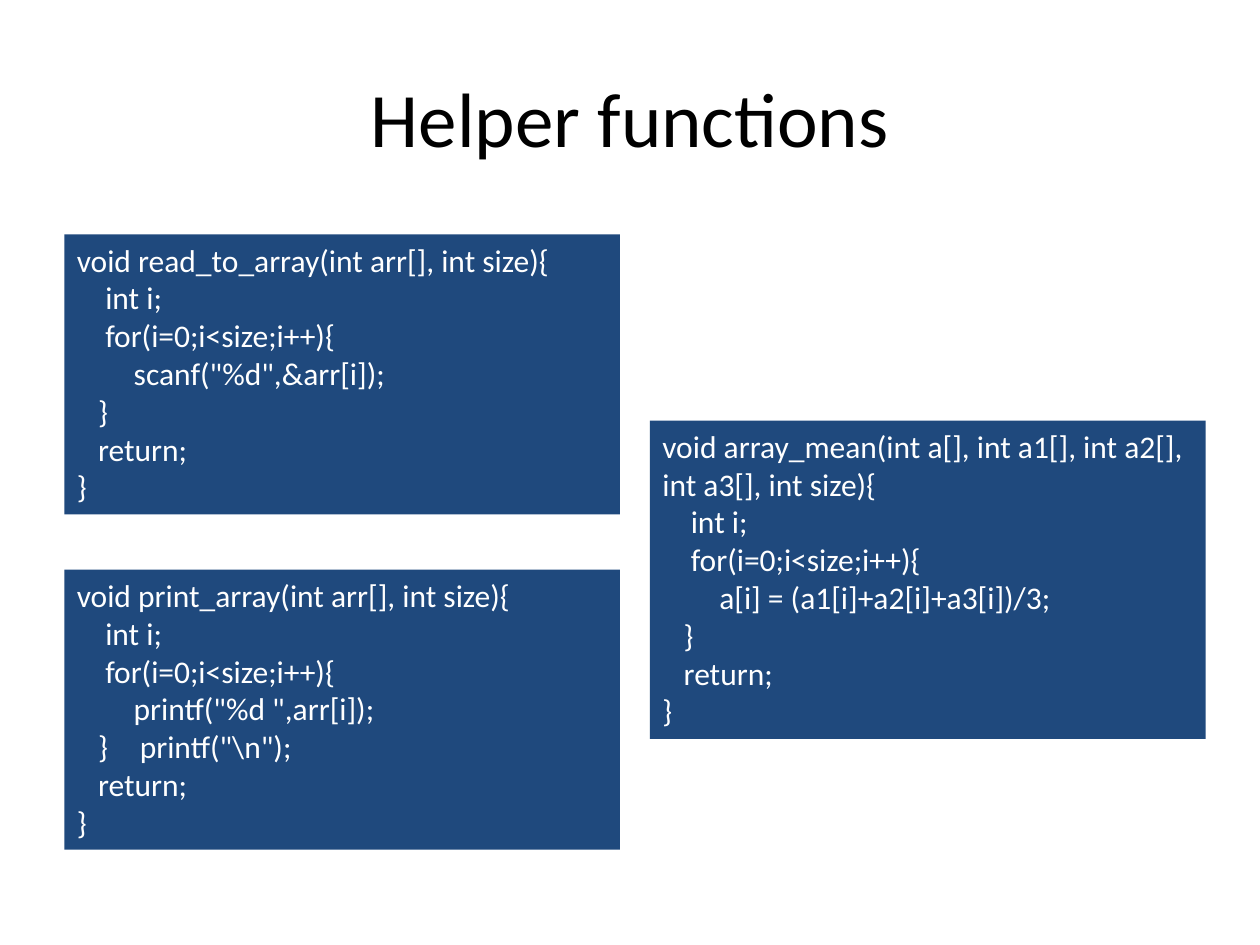
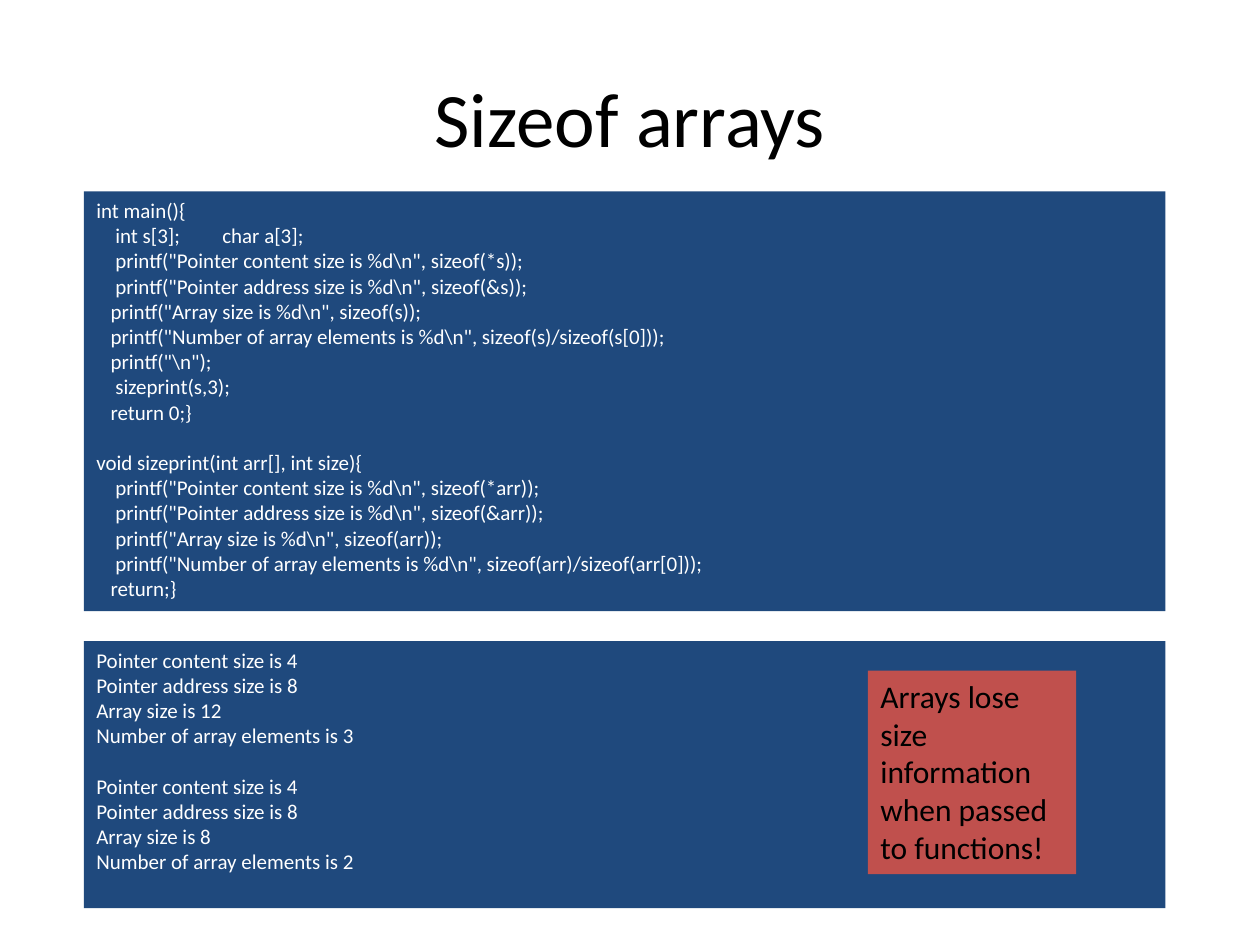
from pptx import Presentation
from pptx.dml.color import RGBColor
from pptx.enum.text import MSO_ANCHOR, PP_ALIGN
from pptx.util import Pt
from lxml.etree import SubElement

NAVY, RED, WHITE, BLACK = "1F497D", "C0504D", "FFFFFF", "000000"
SPACE = 0.226
LEAD = 1.2
HEAD = (36, 21.6, 648, 90)


def tint(code):
    return RGBColor.from_string(code)


def style(item, form):
    for key, value in form.items():
        setattr(item, key, value)


def frame(slide, box, fill=None, anchor=MSO_ANCHOR.TOP):
    shape = slide.shapes.add_textbox(*(Pt(n) for n in box))
    if fill:
        shape.fill.solid()
        shape.fill.fore_color.rgb = tint(fill)
    style(shape.text_frame, {"word_wrap": True, "vertical_anchor": anchor})
    return shape.text_frame


def write(para, text, size, color):
    run = para.add_run()
    style(run, {"text": text})
    style(run.font, {"name": "Calibri", "size": Pt(size)})
    run.font.color.rgb = tint(color)


def title(slide, text):
    para = frame(slide, HEAD, anchor=MSO_ANCHOR.MIDDLE).paragraphs[0]
    para.alignment = PP_ALIGN.CENTER
    write(para, text, 44, BLACK)


def indent(para, depth, size):
    props = para._p.get_or_add_pPr()
    props.set("marL", "0")
    props.set("indent", str(int(Pt(depth * SPACE * size))))


def set_tab(para, stop):
    props = para._p.get_or_add_pPr()
    space = props.nsmap["a"]
    tabs = SubElement(props, f"{{{space}}}tabLst")
    SubElement(tabs, f"{{{space}}}tab", pos=str(int(Pt(stop))), algn="l")


def panel(slide, box, parts, size, fill=NAVY, color=WHITE, stop=0):
    body = frame(slide, box, fill)
    para = body.paragraphs[0]
    for part, lines in enumerate(parts):
        for row, (depth, text) in enumerate(lines):
            if part or row:
                para = body.add_paragraph()
            if part and not row:
                para.space_before = Pt(size * LEAD)
            if depth:
                indent(para, depth, size)
            if "\t" in text:
                set_tab(para, stop)
            write(para, text, size, color)


def loop(head, step, tail="}"):
    return [[(0, f"void {head}{{"), (4, "int i;"),
             (4, "for(i=0;i<size;i++){"), (8, step),
             (3, tail), (3, "return;"), (0, "}")]]


def prints(name, depth):
    rows = (("Pointer content size", f"*{name}", 4),
            ("Pointer address size", f"&{name}", 4),
            ("Array size", name, depth),
            ("Number of array elements", f"{name})/sizeof({name}[0]", depth))
    return [(pad, f'printf("{label} is %d\\n", sizeof({term}));')
            for label, term, pad in rows]


def stats(size, count):
    return [(0, "Pointer content size is 4"),
            (0, "Pointer address size is 8"),
            (0, f"Array size is {size}"),
            (0, f"Number of array elements is {count}")]


def helpers(slide):
    title(slide, "Helper functions")
    left, wide, tall = 36.8, 317.5, 160
    panel(slide, (left, 134, wide, tall),
          loop("read_to_array(int arr[], int size)", 'scanf("%d",&arr[i]);'), 18)
    panel(slide, (left, 325.6, wide, tall),
          loop("print_array(int arr[], int size)", 'printf("%d ",arr[i]);',
               '}\tprintf("\\n");'), 18, stop=34)
    panel(slide, (371.4, 240.4, wide, 181.8),
          loop("array_mean(int a[], int a1[], int a2[], int a3[], int size)",
               "a[i] = (a1[i]+a2[i]+a3[i])/3;"), 18)


def sizes(slide):
    title(slide, "Sizeof arrays")
    left, wide = 48, 618
    main = [(0, "int main(){"), (4, "int s[3];\tchar a[3];"),
            *prints("s", 3), (3, 'printf("\\n");'),
            (4, "sizeprint(s,3);"), (3, "return 0;}")]
    func = [(0, "void sizeprint(int arr[], int size){"),
            *prints("arr", 4), (3, "return;}")]
    panel(slide, (left, 109.4, wide, 239.8), [main, func], 12, stop=58.6)
    panel(slide, (left, 366.4, wide, 152.6), [stats(12, 3), stats(8, 2)], 12)
    note = "Arrays lose size information when passed to functions!"
    panel(slide, (496, 383.2, 119, 116.4), [[(0, note)]], 18, RED, BLACK)


def main():
    deck = Presentation()
    style(deck, {"slide_width": Pt(720), "slide_height": Pt(540)})
    for build in (helpers, sizes):
        build(deck.slides.add_slide(deck.slide_layouts[6]))
    deck.save("out.pptx")


if __name__ == "__main__":
    main()
